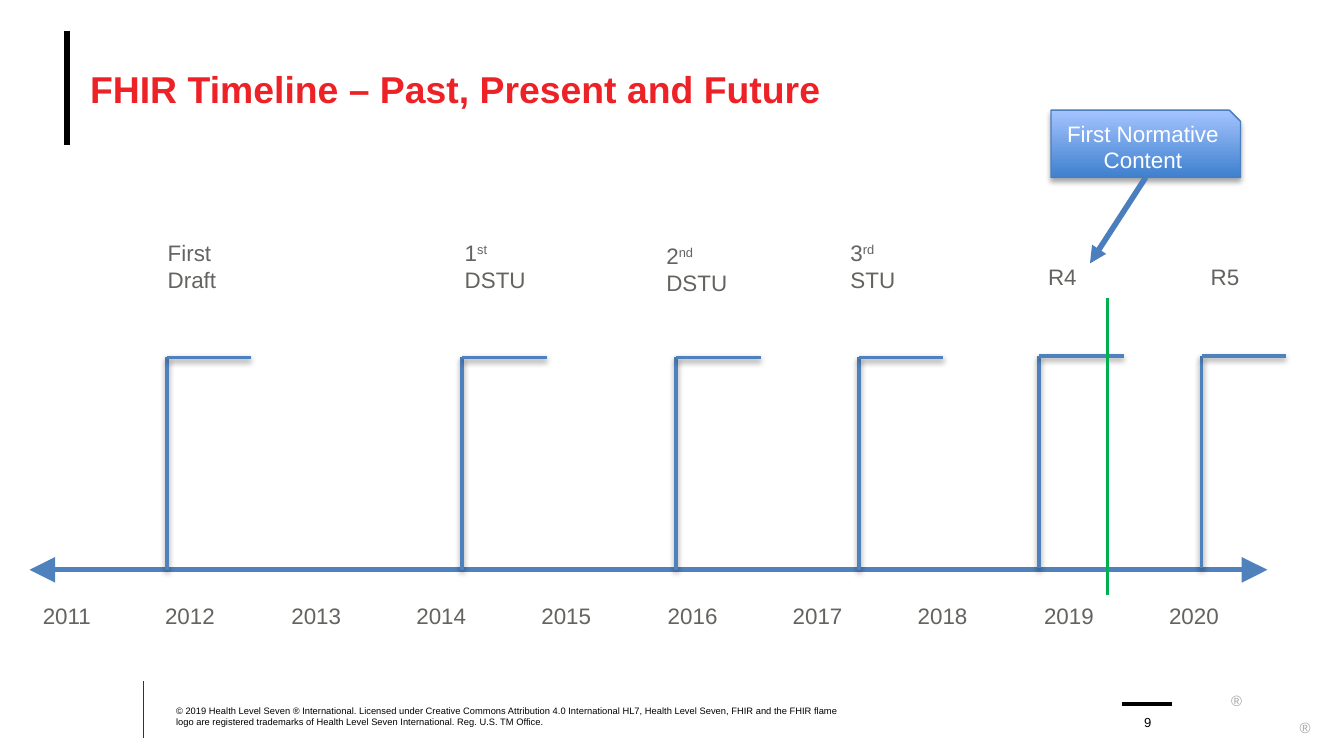
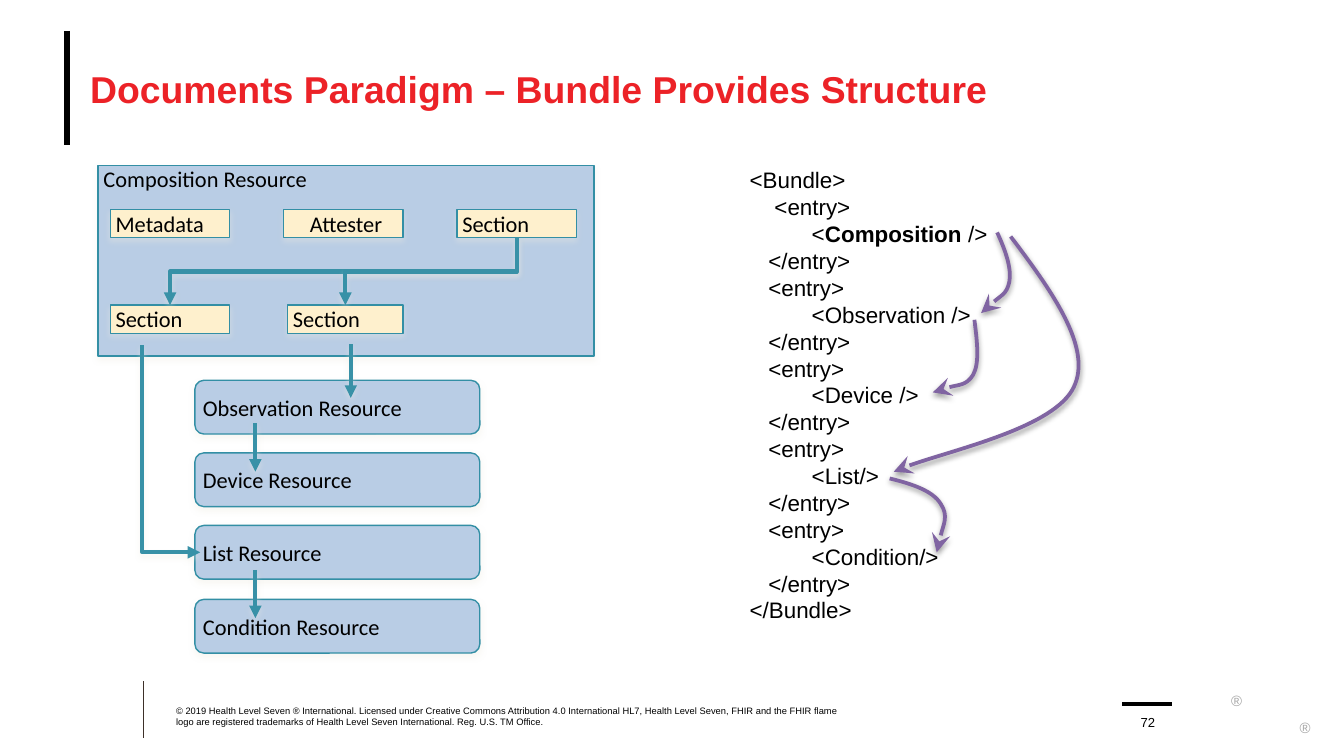
"""Build two FHIR slides: a release timeline and the document bundle structure."""
from dataclasses import dataclass
from typing import Optional, Sequence

from lxml.etree import SubElement
from pptx import Presentation
from pptx.dml.color import RGBColor
from pptx.enum.shapes import MSO_CONNECTOR, MSO_SHAPE
from pptx.enum.text import MSO_ANCHOR, PP_ALIGN
from pptx.oxml.ns import qn
from pptx.util import Pt

PX = 9144


@dataclass(frozen=True)
class Theme:
    """Colours, fonts and type sizes of the deck."""
    title: str = "EC2227"
    black: str = "000000"
    white: str = "FFFFFF"
    grey: str = "636360"
    mark: str = "A6A6A6"
    rule: str = "3D3029"
    axis: str = "4F81BD"
    callout: str = "4B7EBC"
    gradient: tuple[str, str] = ("3F80CE", "A4C4FF")
    today: str = "00B050"
    resource: str = "B9CDE5"
    field: str = "FEF0CD"
    border: str = "338FA5"
    flow: str = "3891A7"
    reference: str = "8064A2"
    soft: str = "EEECE1"
    sans: str = "Arial"
    diagram: str = "Calibri"
    title_size: int = 20
    body_size: int = 12
    mark_size: int = 8
    number_size: int = 7
    legal_size: int = 5


THEME = Theme()


@dataclass(frozen=True)
class Box:
    """A rectangle in px."""
    left: int
    top: int
    width: int
    height: int

    def emu(self) -> tuple[int, int, int, int]:
        """Return the rectangle in EMU."""
        return self.left * PX, self.top * PX, self.width * PX, self.height * PX


@dataclass(frozen=True)
class Run:
    """A piece of text with its emphasis."""
    text: str
    bold: bool = False
    raised: bool = False


@dataclass(frozen=True)
class Style:
    """Text formatting for a whole frame."""
    size: int = THEME.body_size
    color: str = THEME.black
    font: str = THEME.sans
    align: PP_ALIGN = PP_ALIGN.LEFT
    anchor: MSO_ANCHOR = MSO_ANCHOR.TOP
    margins: tuple[int, int, int, int] = (10, 5, 10, 5)
    wrap: bool = False


@dataclass(frozen=True)
class Shadow:
    """A shadow falling straight down."""
    color: str
    alpha: int
    blur: float
    distance: float


@dataclass(frozen=True)
class Stroke:
    """A line style with optional arrowheads and shadow."""
    color: str
    width: float
    head: str = ""
    tail: str = ""
    shadow: Optional[Shadow] = None
    arrow: str = "med"


@dataclass(frozen=True)
class Milestone:
    """A release flag above the time axis."""
    lines: tuple[tuple[Run, ...], ...]
    label: Box
    stem: int
    top: int = 266


Point = tuple[int, int]
Lines = Sequence[Sequence[Run]]

DARK_SHADOW = Shadow(THEME.black, 38, 3.1, 1.6)
CALLOUT_SHADOW = Shadow(THEME.black, 35, 3.1, 1.8)
BOX_SHADOW = Shadow(THEME.soft, 35, 3, 1.8)
AXIS = Stroke(THEME.axis, 2.75, "triangle", "triangle", arrow="lg")
FLAG = Stroke(THEME.axis, 2, shadow=DARK_SHADOW)
FLOW = Stroke(THEME.flow, 2.25, tail="triangle", shadow=Shadow(THEME.soft, 38, 3, 1.6))
REFERENCE = Stroke(THEME.reference, 2, tail="stealth", shadow=DARK_SHADOW, arrow="lg")
BORDER = Stroke(THEME.border, 0.75, shadow=BOX_SHADOW)
LABEL = Style(color=THEME.grey, anchor=MSO_ANCHOR.BOTTOM)
FIELD = Style(font=THEME.diagram, margins=(4, 0, 0, 0), wrap=True)
RESOURCE = Style(font=THEME.diagram, margins=(4, 0, 0, 0), wrap=True, anchor=MSO_ANCHOR.MIDDLE)

LEGAL = ("© 2019 Health Level Seven ® International. Licensed under Creative Commons "
         "Attribution 4.0 International HL7, Health Level Seven, FHIR and the FHIR flame logo "
         "are registered trademarks of Health Level Seven International. Reg. U.S. TM Office.")

MILESTONES = (
    Milestone(((Run("First"),), (Run("Draft"),)), Box(115, 173, 57, 50), 124),
    Milestone(((Run("1"), Run("st", raised=True)), (Run("DSTU"),)), Box(336, 173, 66, 50), 344),
    Milestone(((Run("2"), Run("nd", raised=True)), (Run("DSTU"),)), Box(486, 175, 66, 50), 503),
    Milestone(((Run("3"), Run("rd", raised=True)), (Run("STU"),)), Box(623, 173, 54, 50), 639),
    Milestone(((Run("R4"),),), Box(770, 171, 42, 50), 773, 265),
    Milestone(((Run("R5"),),), Box(891, 171, 42, 50), 894, 265),
)

BUNDLE_CODE = (
    (Run("<Bundle>"),),
    (Run("    <entry>"),),
    (Run("          <"), Run("Composition", bold=True), Run(" />")),
    (Run("   </entry>"),),
    (Run("   <entry>"),),
    (Run("          <Observation />"),),
    (Run("   </entry>"),),
    (Run("   <entry>"),),
    (Run("          <Device />"),),
    (Run("   </entry>"),),
    (Run("   <entry>"),),
    (Run("          <List/>"),),
    (Run("   </entry>"),),
    (Run("   <entry>"),),
    (Run("          <Condition/>"),),
    (Run("   </entry>"),),
    (Run("</Bundle>"),),
)

REFERENCE_CURVES = (
    ((742, 173), (748, 186), (753, 200), (751, 210), (749, 219), (733, 229), (730, 233)),
    ((752, 176), (783, 217), (813, 259), (799, 288), (785, 318), (687, 340), (665, 351)),
    ((662, 356), (678, 360), (694, 365), (700, 375), (706, 384), (697, 407), (697, 411)),
    ((725, 238), (727, 254), (729, 270), (724, 279), (719, 287), (699, 289), (694, 292)),
)


def write(frame, lines: Lines, style: Style) -> None:
    """Fill a text frame run by run."""
    frame.word_wrap = style.wrap
    frame.vertical_anchor = style.anchor
    (frame.margin_left, frame.margin_top,
     frame.margin_right, frame.margin_bottom) = (margin * PX for margin in style.margins)
    for index, line in enumerate(lines):
        paragraph = frame.add_paragraph() if index else frame.paragraphs[0]
        paragraph.alignment = style.align
        for piece in line:
            run = paragraph.add_run()
            run.text = piece.text
            run.font.size = Pt(style.size)
            run.font.name = style.font
            run.font.bold = piece.bold
            run.font.color.rgb = RGBColor.from_string(style.color)
            if piece.raised:
                run.font._element.set("baseline", "30000")


def add_text(slide, box: Box, lines: Lines, style: Style) -> None:
    """Add a text box."""
    write(slide.shapes.add_textbox(*box.emu()).text_frame, lines, style)


def apply_stroke(shape, stroke: Stroke) -> None:
    """Set line, arrowheads and shadow of a shape or connector."""
    shape.line.color.rgb = RGBColor.from_string(stroke.color)
    shape.line.width = Pt(stroke.width)
    for tag, kind in (("a:headEnd", stroke.head), ("a:tailEnd", stroke.tail)):
        if kind:
            SubElement(shape.line._get_or_add_ln(), qn(tag), type=kind,
                       w=stroke.arrow, len=stroke.arrow)
    effects = SubElement(shape._element.spPr, qn("a:effectLst"))
    if stroke.shadow:
        outer = SubElement(effects, qn("a:outerShdw"), blurRad=str(Pt(stroke.shadow.blur)),
                           dist=str(Pt(stroke.shadow.distance)), dir="5400000", rotWithShape="0")
        color = SubElement(outer, qn("a:srgbClr"), val=stroke.shadow.color)
        SubElement(color, qn("a:alpha"), val=str(stroke.shadow.alpha * 1000))


def add_line(slide, start: Point, end: Point, stroke: Stroke):
    """Add a straight connector."""
    ends = (value * PX for value in (*start, *end))
    connector = slide.shapes.add_connector(MSO_CONNECTOR.STRAIGHT, *ends)
    apply_stroke(connector, stroke)
    return connector


def add_elbow(slide, source, target) -> None:
    """Join a box bottom to a lower box top on its left with a bent arrow."""
    connector = slide.shapes.add_connector(MSO_CONNECTOR.ELBOW, 0, 0, PX, PX)
    connector.begin_connect(source, 2)
    connector.end_connect(target, 0)
    span, drop = connector.width, connector.height
    center_x, center_y = connector.left + span // 2, connector.top + drop // 2
    transform = connector._element.spPr.xfrm
    transform.flipH = False
    transform.rot = 90.0
    connector.left, connector.top = center_x - drop // 2, center_y - span // 2
    connector.width, connector.height = drop, span
    apply_stroke(connector, FLOW)


def add_outline(slide, points: Sequence[Point], stroke: Stroke, curved: bool = False) -> None:
    """Add an open outline, reading each three points as a Bézier segment when curved."""
    builder = slide.shapes.build_freeform(*points[0], scale=PX)
    builder.add_line_segments(points[1:], close=False)
    shape = builder.convert_to_shape()
    shape.fill.background()
    if curved:
        outline = next(shape._element.iter(qn("a:path")))
        segments = outline.findall(qn("a:lnTo"))
        for first in range(0, len(segments), 3):
            curve = SubElement(outline, qn("a:cubicBezTo"))
            for segment in segments[first:first + 3]:
                curve.append(segment[0])
                outline.remove(segment)
    apply_stroke(shape, stroke)


def add_box(slide, kind: MSO_SHAPE, box: Box, text: str, fill: str, style: Style):
    """Add a filled diagram box."""
    shape = slide.shapes.add_shape(kind, *box.emu())
    shape.fill.solid()
    shape.fill.fore_color.rgb = RGBColor.from_string(fill)
    apply_stroke(shape, BORDER)
    write(shape.text_frame, [[Run(text)]], style)
    return shape


def add_field(slide, left: int, top: int, text: str, width: int = 89,
              align: PP_ALIGN = PP_ALIGN.LEFT):
    """Add a small composition field."""
    style = Style(font=FIELD.font, margins=FIELD.margins, wrap=True, align=align)
    return add_box(slide, MSO_SHAPE.RECTANGLE, Box(left, top, width, 21), text, THEME.field, style)


def new_slide(presentation, title: str, number: int):
    """Add a slide with title, rules, marks and footer."""
    slide = presentation.slides.add_slide(presentation.slide_layouts[5])
    add_line(slide, (107, 507), (107, 549), Stroke(THEME.rule, 0.5))
    add_line(slide, (50, 23), (50, 108), Stroke(THEME.black, 3.25))
    add_line(slide, (835, 524), (872, 524), Stroke(THEME.black, 2))
    for left, top in ((916, 510), (967, 530)):
        add_text(slide, Box(left, top, 11, 9), [[Run("®")]],
                 Style(THEME.mark_size, THEME.mark, margins=(0, 5, 0, 0)))
    heading = slide.shapes.title
    heading.left, heading.top, heading.width, heading.height = Box(67, 23, 900, 86).emu()
    write(heading.text_frame, [[Run(title, bold=True)]],
          Style(THEME.title_size, THEME.title, anchor=MSO_ANCHOR.MIDDLE,
                margins=(0, 0, 0, 0), wrap=True))
    for box, text, size, align in (
            (Box(839, 524, 30, 19), str(number), THEME.number_size, PP_ALIGN.CENTER),
            (Box(131, 524, 495, 17), LEGAL, THEME.legal_size, PP_ALIGN.LEFT)):
        add_text(slide, box, [[Run(text)]],
                 Style(size, align=align, anchor=MSO_ANCHOR.BOTTOM,
                       margins=(0, 0, 0, 0), wrap=True))
    return slide


def build_timeline(presentation) -> None:
    """Build the release timeline."""
    slide = new_slide(presentation, "FHIR Timeline – Past, Present and Future", 9)
    add_line(slide, (22, 424), (943, 424), AXIS)
    for index in range(10):
        left = max(22, 20 + (index * 280 + 1) // 3)
        add_text(slide, Box(left, 443, 57, 30), [[Run(str(2011 + index))]],
                 Style(color=THEME.grey))
    for milestone in MILESTONES:
        corner = (milestone.stem, milestone.top)
        add_line(slide, corner, (milestone.stem, milestone.top + 158), FLAG)
        add_line(slide, corner, (milestone.stem + 63, milestone.top), FLAG)
        add_text(slide, milestone.label, milestone.lines, LABEL)
    add_line(slide, (824, 222), (824, 443), Stroke(THEME.today, 2))
    callout = slide.shapes.add_shape(MSO_SHAPE.SNIP_1_RECTANGLE, *Box(782, 82, 141, 50).emu())
    callout.fill.gradient()
    callout.fill.gradient_angle = 90
    for position, (stop, color) in enumerate(zip(callout.fill.gradient_stops, THEME.gradient)):
        stop.position = position
        stop.color.rgb = RGBColor.from_string(color)
    apply_stroke(callout, Stroke(THEME.callout, 0.75, shadow=CALLOUT_SHADOW))
    write(callout.text_frame, [[Run("First Normative Content")]],
          Style(color=THEME.white, align=PP_ALIGN.CENTER, anchor=MSO_ANCHOR.MIDDLE, wrap=True))
    pointer = add_line(slide, (811, 196), (853, 132), Stroke(THEME.callout, 3, head="triangle"))
    pointer.end_connect(callout, 2)


def build_documents(presentation) -> None:
    """Build the document bundle diagram."""
    slide = new_slide(presentation, "Documents Paradigm – Bundle Provides Structure", 72)
    add_box(slide, MSO_SHAPE.RECTANGLE, Box(73, 123, 369, 142), "Composition Resource",
            THEME.resource, FIELD)
    for index, name in enumerate(("Observation", "Device", "List", "Condition")):
        add_box(slide, MSO_SHAPE.ROUNDED_RECTANGLE, Box(145, 283 + index * 163 // 3, 212, 40),
                f"{name} Resource", THEME.resource, RESOURCE)
    add_field(slide, 82, 156, "Metadata")
    add_field(slide, 211, 156, "Attester", align=PP_ALIGN.CENTER)
    parent = add_field(slide, 340, 156, "Section")
    for child in (add_field(slide, 82, 227, "Section"), add_field(slide, 214, 227, "Section", 86)):
        add_elbow(slide, parent, child)
    for x, top, bottom in ((261, 256, 296), (190, 315, 351), (190, 424, 460)):
        add_line(slide, (x, top), (x, bottom), FLOW)
    add_outline(slide, ((106, 257), (106, 411), (149, 411)), FLOW)
    add_text(slide, Box(548, 119, 200, 353), BUNDLE_CODE, Style())
    for curve in REFERENCE_CURVES:
        add_outline(slide, curve, REFERENCE, curved=True)


def main() -> None:
    """Create and save the presentation."""
    presentation = Presentation()
    presentation.slide_width = 1000 * PX
    presentation.slide_height = presentation.slide_width * 9 // 16
    build_timeline(presentation)
    build_documents(presentation)
    presentation.save("out.pptx")


if __name__ == "__main__":
    main()
